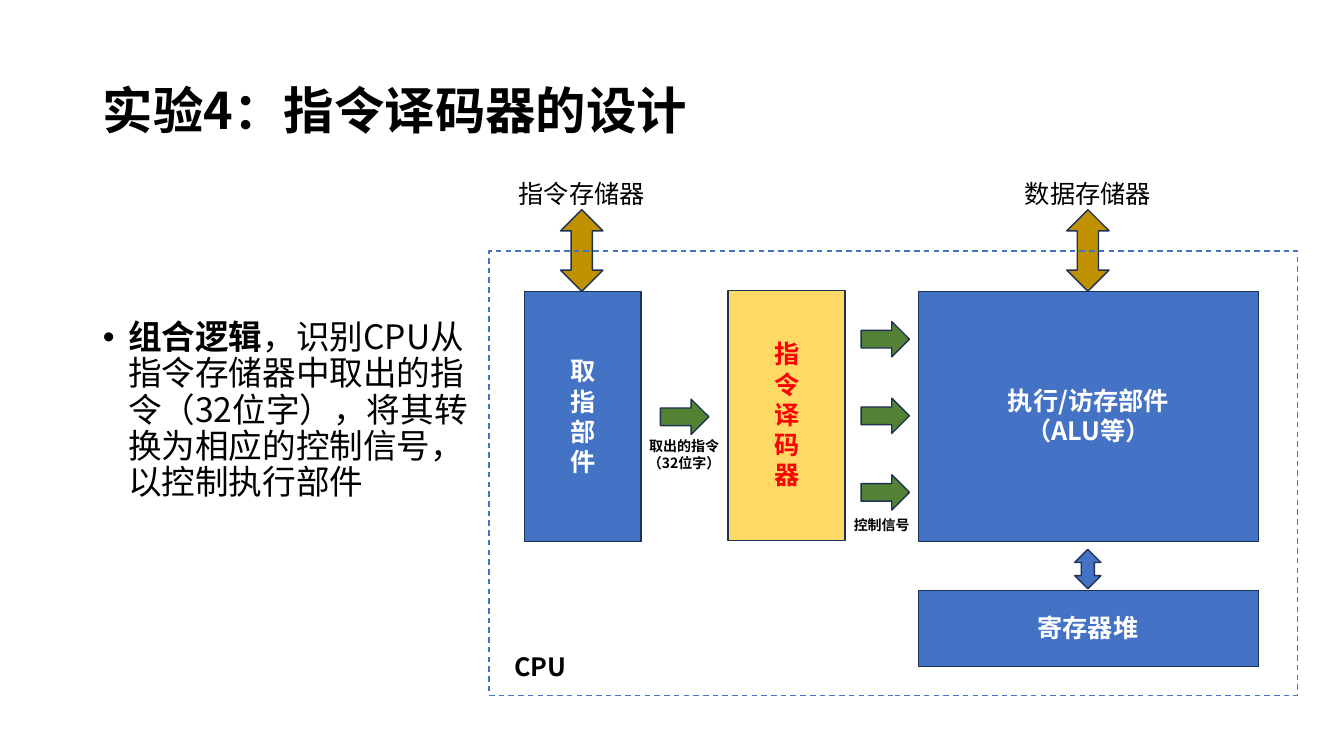
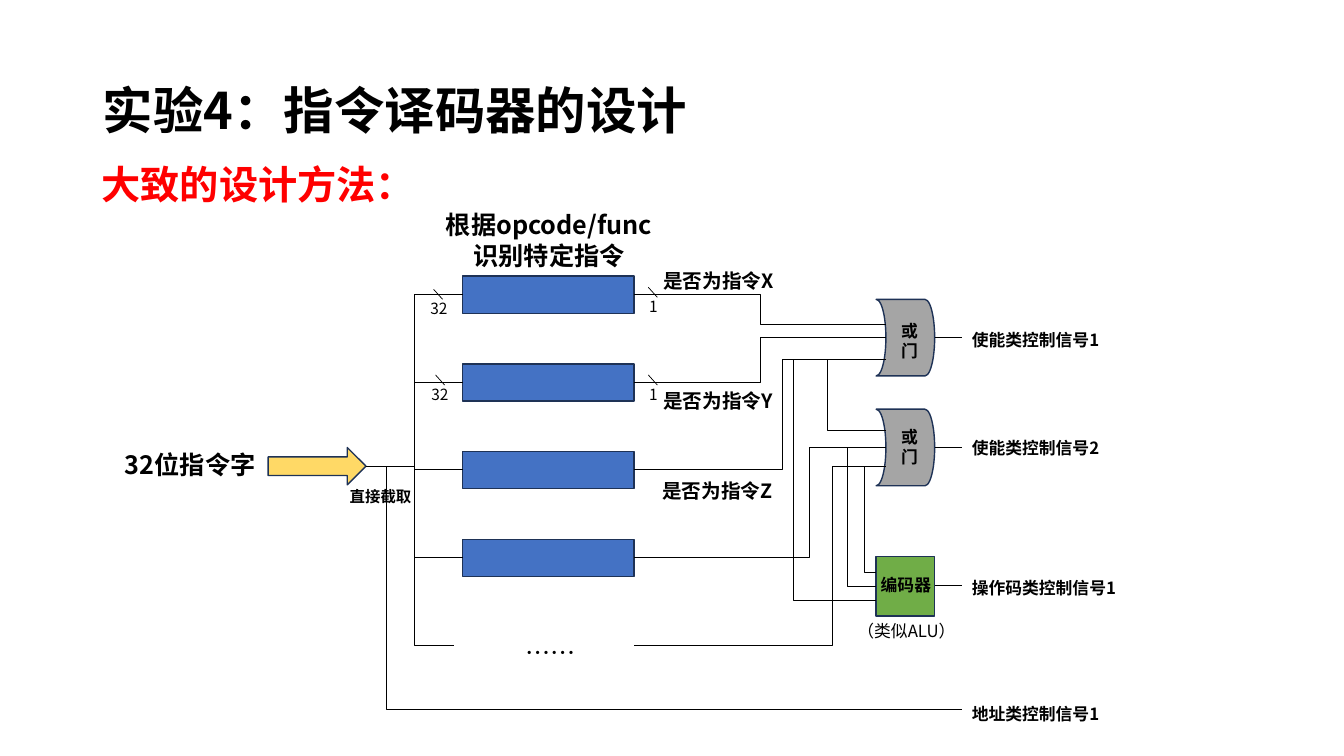
from dataclasses import dataclass

from lxml.etree import SubElement
from pptx import Presentation
from pptx.dml.color import RGBColor as RGB
from pptx.enum.dml import MSO_LINE
from pptx.enum.shapes import MSO_CONNECTOR as LINK, MSO_SHAPE as SHAPE
from pptx.enum.text import MSO_ANCHOR as ANCHOR, MSO_AUTO_SIZE as FIT, PP_ALIGN as ALIGN
from pptx.oxml.ns import qn
from pptx.util import Pt


@dataclass(frozen=True)
class Theme:
    font: str = "Noto Sans CJK SC"
    ink: str = "000000"
    paper: str = "FFFFFF"
    red: str = "FF0000"
    blue: str = "4472C4"
    edge: str = "1E3256"
    yellow: str = "FFD966"
    gold: str = "BF9000"
    arrow_green: str = "548235"
    encoder_green: str = "70AD47"
    gray: str = "A5A5A5"
    title: int = 36
    heading: int = 28
    body: int = 24
    block: int = 18
    question: int = 14
    signal: int = 12
    bits: int = 11
    note: int = 10


T = Theme()
PX = 9144


def write(frame, text, size, color=T.ink, bold=True, align=ALIGN.LEFT):
    frame.word_wrap = True
    frame.auto_size = FIT.NONE
    frame.text = text
    for paragraph in frame.paragraphs:
        paragraph.alignment = align
        font = paragraph.font
        font.name, font.size, font.bold = T.font, Pt(size), bold
        font.color.rgb = RGB.from_string(color)
        defaults = paragraph._p.pPr.find(qn("a:defRPr"))
        SubElement(defaults, qn("a:ea"), typeface=T.font)


def draw(slide, kind, box, fill, edge=T.edge):
    shape = slide.shapes.add_shape(kind, *(n * PX for n in box))
    shape.shadow.inherit = False
    if fill:
        shape.fill.solid()
        shape.fill.fore_color.rgb = RGB.from_string(fill)
    else:
        shape.fill.background()
    shape.line.color.rgb = RGB.from_string(edge)
    shape.line.width = Pt(1)
    return shape


deck = Presentation()
deck.slide_width, deck.slide_height = 1333 * PX, 750 * PX
overview = deck.slides.add_slide(deck.slide_layouts[1])
method = deck.slides.add_slide(deck.slide_layouts[5])

for slide in (overview, method):
    title = slide.shapes.title
    title.left, title.top, title.width, title.height = (n * PX for n in (92, 40, 1150, 145))
    write(title.text_frame, "实验4：指令译码器的设计", T.title)
    title.text_frame.vertical_anchor = ANCHOR.MIDDLE
    title.text_frame.paragraphs[0].line_spacing = 0.9

summary = overview.placeholders[1]
summary.left, summary.top, summary.width, summary.height = (n * PX for n in (92, 313, 384, 377))
write(summary.text_frame, "组合逻辑", T.body, bold=False)
point = summary.text_frame.paragraphs[0]
point.runs[0].font.bold = True
point.add_run().text = "，识别CPU从指令存储器中取出的指令（32位字），将其转换为相应的控制信号，以控制执行部件"
point.line_spacing, point.space_before = 0.9, Pt(10)
point._p.pPr.set("marL", str(25 * PX))
point._p.pPr.set("indent", str(-25 * PX))

for box, fill in (
    ((520, 289, 116, 248), T.blue),
    ((722, 288, 116, 248), T.yellow),
    ((911, 289, 337, 248), T.blue),
    ((911, 586, 337, 75), T.blue),
):
    draw(overview, SHAPE.RECTANGLE, box, fill)
for left in (556, 1058):
    draw(overview, SHAPE.UP_DOWN_ARROW, (left, 208, 42, 81), T.gold)
for left, top in ((655, 396), *((854, 319 + 76 * i) for i in range(3))):
    draw(overview, SHAPE.RIGHT_ARROW, (left, top, 48, 35), T.arrow_green)
draw(overview, SHAPE.UP_DOWN_ARROW, (1066, 545, 26, 39), T.blue)
cpu = draw(overview, SHAPE.RECTANGLE, (485, 249, 802, 441), None, T.blue)
cpu.line.dash_style = MSO_LINE.DASH

rows = [292 + 87 * i for i in range(5)]
for row in rows[:4]:
    draw(method, SHAPE.RECTANGLE, (459, row - 18, 170, 37), T.blue)
draw(method, SHAPE.RIGHT_ARROW, (266, 444, 97, 37), T.yellow)
for top in (297, 406):
    gate = draw(method, SHAPE.FLOWCHART_STORED_DATA, (869, top, 58, 76), T.gray)
    gate._element.spPr.xfrm.set("flipH", "1")
draw(method, SHAPE.RECTANGLE, (869, 552, 58, 59), T.encoder_green)

input_wires = [(363, 463, 459 if row < rows[4] else 450, row, 411) for row in rows]
result_wires = [
    (629, row, 879, pin, turn)
    for row, pin, turn in zip(rows, (322, 335, 357, 444, 463), (754, 754, 776, 803, 826))
]
branch_wires = [
    (821, 357, 879, 427, 821),
    (857, 463, 869, 568, 857),
    (840, 444, 869, 582, 840),
    (787, 357, 869, 596, 787),
]
address_wire = (363, 463, 954, 704, 383)
output_wires = [(927, y, 954, y, None) for y in (335, 444, 581)]
bus_ticks = [
    (x, y, x + 9, y + 10, None) for x, y in ((430, 287), (432, 372), (643, 285), (643, 372))
]
for x1, y1, x2, y2, turn in (
    *input_wires, *result_wires, *branch_wires, address_wire, *output_wires, *bus_ticks
):
    kind = LINK.STRAIGHT if turn is None else LINK.ELBOW
    wire = method.shapes.add_connector(kind, x1 * PX, y1 * PX, x2 * PX, y2 * PX)
    wire.line.color.rgb = RGB.from_string(T.ink)
    wire.line.width = Pt(0.5)
    outline = wire._element.spPr
    SubElement(outline, qn("a:effectLst"))
    if turn is not None:
        bend = round((turn - x1) / (x2 - x1) * 100000)
        adjustments = outline.find(qn("a:prstGeom")).find(qn("a:avLst"))
        SubElement(adjustments, qn("a:gd"), name="adj1", fmla=f"val {bend}")

L, C = ALIGN.LEFT, ALIGN.CENTER
overview_labels = [
    ((500, 641, 77, 40), "CPU", T.block, T.ink, True, L),
    ((758, 331, 43, 162), "指令译码器", T.block, T.red, True, L),
    ((556, 348, 43, 131), "取指部件", T.block, T.paper, True, L),
    ((985, 377, 189, 71), "执行/访存部件\n（ALU等）", T.block, T.paper, True, C),
    ((1001, 603, 156, 40), "寄存器堆", T.block, T.paper, True, C),
    ((502, 172, 150, 40), "指令存储器", T.block, T.ink, False, C),
    ((1004, 172, 150, 40), "数据存储器", T.block, T.ink, False, C),
    ((598, 429, 161, 44), "取出的指令\n（32位字）", T.note, T.ink, True, C),
    ((833, 508, 83, 27), "控制信号", T.note, T.ink, True, C),
]
method_labels = [
    ((91, 154, 687, 57), "大致的设计方法：", T.heading, T.red, True, L),
    ((417, 203, 255, 71), "根据opcode/func\n识别特定指令", T.block, T.ink, True, C),
    ((114, 441, 222, 40), "32位指令字", T.block, T.ink, True, L),
    ((337, 478, 87, 29), "直接截取", T.bits, T.ink, True, L),
    ((511, 627, 236, 40), "……", T.block, T.ink, False, L),
    ((863, 565, 71, 30), "编码器", T.signal, T.ink, True, C),
    ((805, 611, 188, 30), "（类似ALU）", T.signal, T.ink, False, C),
]
for left, top, bits in ((417, 292, "32"), (418, 377, "32"), (634, 290, "1"), (634, 377, "1")):
    method_labels.append(((left, top, 42, 29), bits, T.bits, T.ink, False, L))
for left, top, name in ((648, 262, "X"), (648, 381, "Y"), (647, 470, "Z")):
    method_labels.append(
        ((left, top, 173, 34), f"是否为指令{name}", T.question, T.ink, True, L)
    )
for top in (313, 418):
    method_labels.append(((884, top, 37, 50), "或门", T.signal, T.ink, True, L))
for top, signal in (
    (322, "使能类控制信号1"),
    (429, "使能类控制信号2"),
    (568, "操作码类控制信号1"),
    (693, "地址类控制信号1"),
):
    method_labels.append(((954, top, 316, 30), signal, T.signal, T.ink, True, L))

for slide, labels in ((overview, overview_labels), (method, method_labels)):
    for box, *content in labels:
        label = slide.shapes.add_textbox(*(n * PX for n in box))
        write(label.text_frame, *content)

deck.save("out.pptx")
